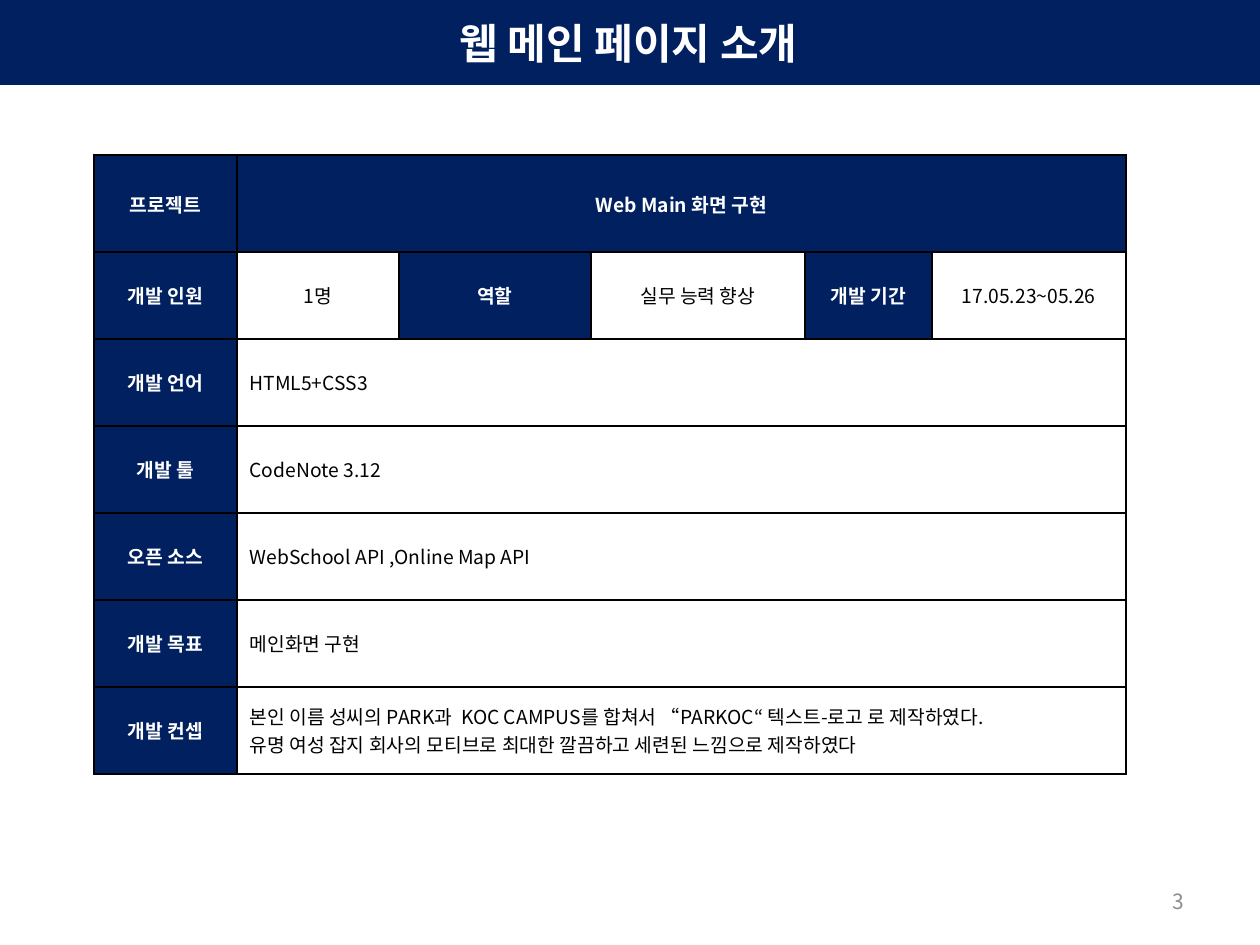
from lxml.etree import SubElement
from pptx import Presentation
from pptx.dml.color import RGBColor
from pptx.enum.shapes import MSO_SHAPE
from pptx.enum.text import MSO_ANCHOR, PP_ALIGN
from pptx.oxml.ns import qn
from pptx.util import Pt

PX = 914400 // 126
FONT = "Noto Sans CJK KR"
COLORS = {"navy": "002060", "white": "FFFFFF", "black": "000000", "gray": "8C8C8C"}

TITLE = "웹 메인 페이지 소개"
PAGE_NUMBER = "3"
PROJECT = ("프로젝트", "Web Main 화면 구현")
TEAM = ["개발 인원", "1명", "역할", "실무 능력 향상", "개발 기간", "17.05.23~05.26"]
DETAILS = [
    ("개발 언어", ["HTML5+CSS3"]),
    ("개발 툴", ["CodeNote 3.12"]),
    ("오픈 소스", ["WebSchool API ,Online Map API"]),
    ("개발 목표", ["메인화면 구현"]),
    ("개발 컨셉", [
        "본인 이름 성씨의 PARK과  KOC CAMPUS를 합쳐서 “PARKOC“ 텍스트-로고 로 제작하였다.",
        "유명 여성 잡지 회사의 모티브로 최대한 깔끔하고 세련된 느낌으로 제작하였다",
    ]),
]
COLUMN_WIDTHS = [143, 162, 192, 214, 127, 194]
ROW_HEIGHTS = [97] + [87] * (1 + len(DETAILS))


def box(left, top, width, height):
    return [value * PX for value in (left, top, width, height)]


def write(frame, lines, size, color, bold=False, align=PP_ALIGN.CENTER):
    frame.text = "\n".join(lines)
    for paragraph in frame.paragraphs:
        paragraph.alignment = align
        font = paragraph.font
        font.size, font.bold, font.name = Pt(size), bold, FONT
        font.color.rgb = RGBColor.from_string(COLORS[color])
        defaults = paragraph._p.pPr.find(qn("a:defRPr"))
        SubElement(defaults, qn("a:ea"), typeface=FONT)


def paint(part, color):
    part.fill.solid()
    part.fill.fore_color.rgb = RGBColor.from_string(COLORS[color])


def add_borders(cell):
    properties = cell._tc.get_or_add_tcPr()
    for index, side in enumerate(("a:lnL", "a:lnR", "a:lnT", "a:lnB")):
        line = properties.makeelement(qn(side), {"w": str(Pt(1.5))})
        solid = SubElement(line, qn("a:solidFill"))
        SubElement(solid, qn("a:srgbClr"), val=COLORS["black"])
        properties.insert(index, line)


def fill_cell(cell, lines, header, align=PP_ALIGN.CENTER):
    write(cell.text_frame, lines, 11, "white" if header else "black", header, align)
    cell.vertical_anchor = MSO_ANCHOR.MIDDLE
    paint(cell, "navy" if header else "white")


def add_label(slide, bounds, text, size, color, bold, align, anchor):
    frame = slide.shapes.add_textbox(*box(*bounds)).text_frame
    frame.word_wrap = True
    frame.vertical_anchor = anchor
    write(frame, [text], size, color, bold, align)


def add_project_table(slide):
    bounds = box(94, 155, sum(COLUMN_WIDTHS), sum(ROW_HEIGHTS))
    table = slide.shapes.add_table(len(ROW_HEIGHTS), len(COLUMN_WIDTHS), *bounds).table
    for column, width in zip(table.columns, COLUMN_WIDTHS):
        column.width = width * PX
    for row, height in zip(table.rows, ROW_HEIGHTS):
        row.height = height * PX

    last = len(COLUMN_WIDTHS) - 1
    for row in [0, *range(2, len(ROW_HEIGHTS))]:
        table.cell(row, 1).merge(table.cell(row, last))

    for column, text in enumerate(PROJECT):
        fill_cell(table.cell(0, column), [text], True)
    for column, text in enumerate(TEAM):
        fill_cell(table.cell(1, column), [text], column % 2 == 0)
    for row, (label, lines) in enumerate(DETAILS, 2):
        fill_cell(table.cell(row, 0), [label], True)
        fill_cell(table.cell(row, 1), lines, False, PP_ALIGN.LEFT)
    for cell in table.iter_cells():
        add_borders(cell)


def main():
    deck = Presentation()
    deck.slide_width, deck.slide_height = 1260 * PX, 945 * PX
    slide = deck.slides.add_slide(deck.slide_layouts[6])

    add_project_table(slide)
    banner = slide.shapes.add_shape(MSO_SHAPE.RECTANGLE, *box(-1, 0, 1261, 85))
    banner.shadow.inherit = False
    paint(banner, "navy")
    banner.line.fill.background()
    add_label(slide, (-2, 11, 1261, 63), TITLE, 24, "white", True,
              PP_ALIGN.CENTER, MSO_ANCHOR.MIDDLE)
    add_label(slide, (903, 876, 294, 50), PAGE_NUMBER, 12, "gray", False,
              PP_ALIGN.RIGHT, MSO_ANCHOR.MIDDLE)
    deck.save("out.pptx")


if __name__ == "__main__":
    main()
